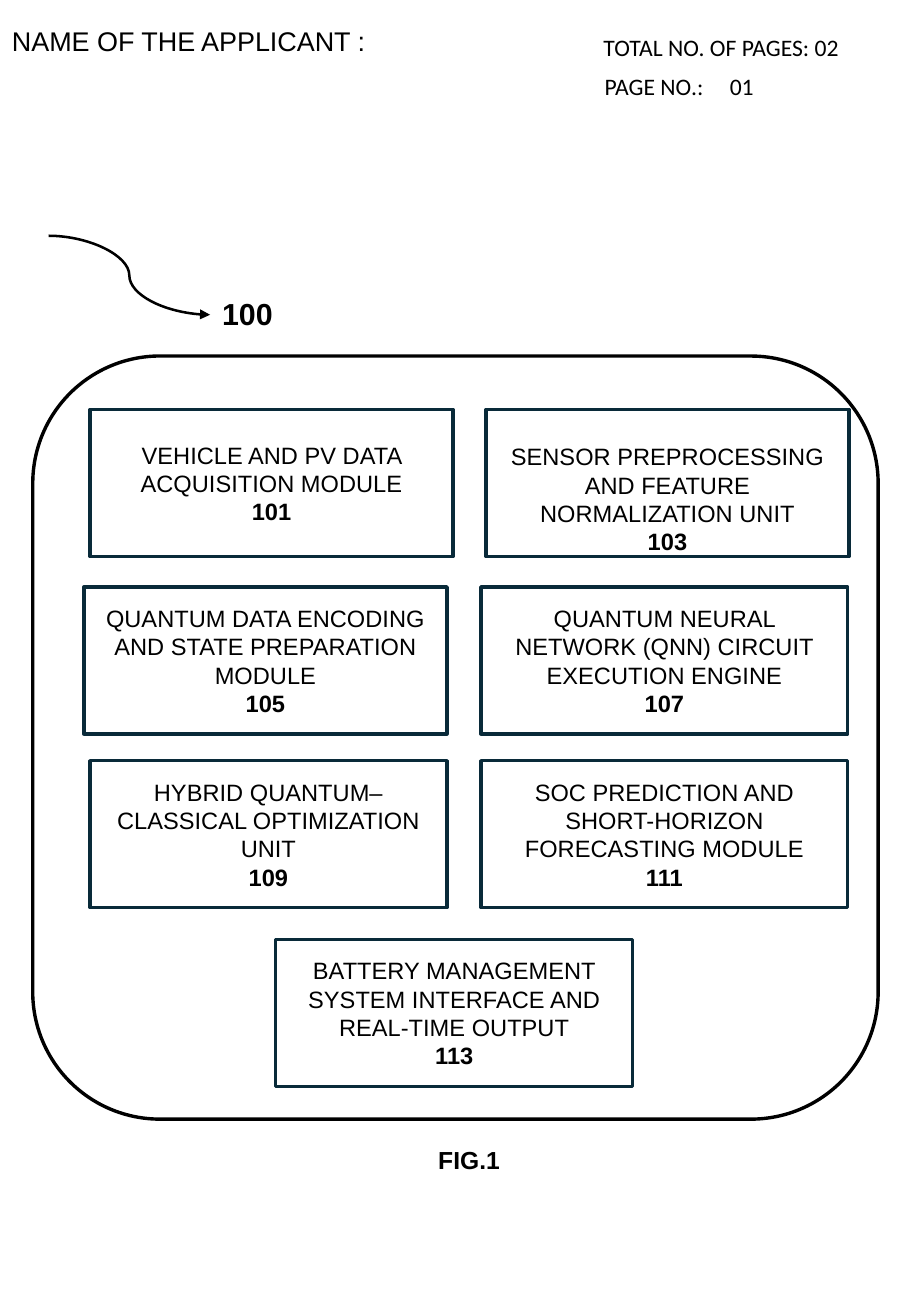
"""Build the patent drawing sheet FIG.1 with its seven numbered modules."""
from lxml import etree
from pptx import Presentation
from pptx.dml.color import RGBColor
from pptx.enum import shapes, text
from pptx.oxml.ns import qn
from pptx.util import Inches, Pt

BLACK = RGBColor(0, 0, 0)
WHITE = RGBColor(255, 255, 255)
NAVY = RGBColor(0x09, 0x2A, 0x39)

WIDTH, HEIGHT = 7.5, 10.83
BOX_HEIGHT = 1.21
FRAME = (0.27, 2.93, 6.96, 6.28)
ARROW = (0.4, 1.94, 1.73, 2.59)

LABELS = [
    ("TOTAL NO. OF PAGES: 02", (4.87, 0.22, 2.63, 0.34), dict(font="Calibri")),
    ("PAGE NO.:\t01", (4.88, 0.54, 1.8, 0.34), dict(font="Calibri", tab=1.03)),
    ("FIG.1", (3.51, 9.37, 1.36, 0.35), dict(size=14.6, bold=True)),
    ("100", (1.73, 2.38, 1.52, 0.4), dict(size=18, bold=True)),
    ("NAME OF THE APPLICANT :", (0, 0.15, 4.88, 0.37), dict(size=16)),
]

# Each row: top, then (left, width, title) per module
ROWS = [
    (3.37, [(0.74, 2.99, "VEHICLE AND PV DATA ACQUISITION MODULE"),
            (4.0, 2.99, "SENSOR PREPROCESSING AND FEATURE NORMALIZATION UNIT")]),
    (4.83, [(0.69, 2.99, "QUANTUM DATA ENCODING AND STATE PREPARATION MODULE"),
            (3.96, 3.02, "QUANTUM NEURAL NETWORK (QNN) CIRCUIT EXECUTION ENGINE")]),
    (6.26, [(0.74, 2.94, "HYBRID QUANTUM–CLASSICAL OPTIMIZATION UNIT"),
            (3.96, 3.02, "SOC PREDICTION AND SHORT-HORIZON FORECASTING MODULE")]),
    (7.73, [(2.27, 2.94, "BATTERY MANAGEMENT SYSTEM INTERFACE AND REAL-TIME OUTPUT")]),
]
FIRST_NUMBER, NUMBER_STEP = 101, 2
LOWERED = {103: (0.26, 0)}


def write(p, content, size=14, font="Arial", bold=False, align=None, tab=None):
    if tab:
        stops = etree.SubElement(p._p.get_or_add_pPr(), qn("a:tabLst"))
        etree.SubElement(stops, qn("a:tab"), pos=str(Inches(tab)), algn="l")
    if align is not None:
        p.alignment = align
    r = p.add_run()
    r.text = content
    r.font.size, r.font.name, r.font.bold = Pt(size), font, bold
    r.font.color.rgb = BLACK


def add_outline(slide, kind, area, color):
    sp = slide.shapes.add_shape(kind, *map(Inches, area))
    sp.shadow.inherit = False
    sp.fill.solid()
    sp.fill.fore_color.rgb = WHITE
    sp.line.color.rgb = color
    sp.line.width = Pt(2)
    return sp


def add_label(slide, content, area, style):
    tf = slide.shapes.add_textbox(*map(Inches, area)).text_frame
    tf.word_wrap = True
    write(tf.paragraphs[0], content, **style)


def add_arrow(slide):
    line = slide.shapes.add_connector(shapes.MSO_CONNECTOR.CURVE, *map(Inches, ARROW))
    line.line.color.rgb = BLACK
    line.line.width = Pt(1.5)
    etree.SubElement(line.line._get_or_add_ln(), qn("a:tailEnd"), type="triangle")
    etree.SubElement(line._element.spPr, qn("a:effectLst"))


def add_module(slide, area, title, number):
    tf = add_outline(slide, shapes.MSO_SHAPE.RECTANGLE, area, NAVY).text_frame
    tf.word_wrap = True
    tf.vertical_anchor = text.MSO_ANCHOR.MIDDLE
    tf.margin_top, tf.margin_bottom = map(Inches, LOWERED.get(number, (0.05, 0.05)))
    write(tf.paragraphs[0], title, align=text.PP_ALIGN.CENTER)
    write(tf.add_paragraph(), str(number), bold=True, align=text.PP_ALIGN.CENTER)


def main():
    prs = Presentation()
    prs.slide_width, prs.slide_height = Inches(WIDTH), Inches(HEIGHT)
    slide = prs.slides.add_slide(prs.slide_layouts[6])
    for label in LABELS:
        add_label(slide, *label)
    add_arrow(slide)
    add_outline(slide, shapes.MSO_SHAPE.ROUNDED_RECTANGLE, FRAME, BLACK)
    number = FIRST_NUMBER
    for top, modules in ROWS:
        for left, width, title in modules:
            add_module(slide, (left, top, width, BOX_HEIGHT), title, number)
            number += NUMBER_STEP
    prs.save("out.pptx")


if __name__ == "__main__":
    main()
